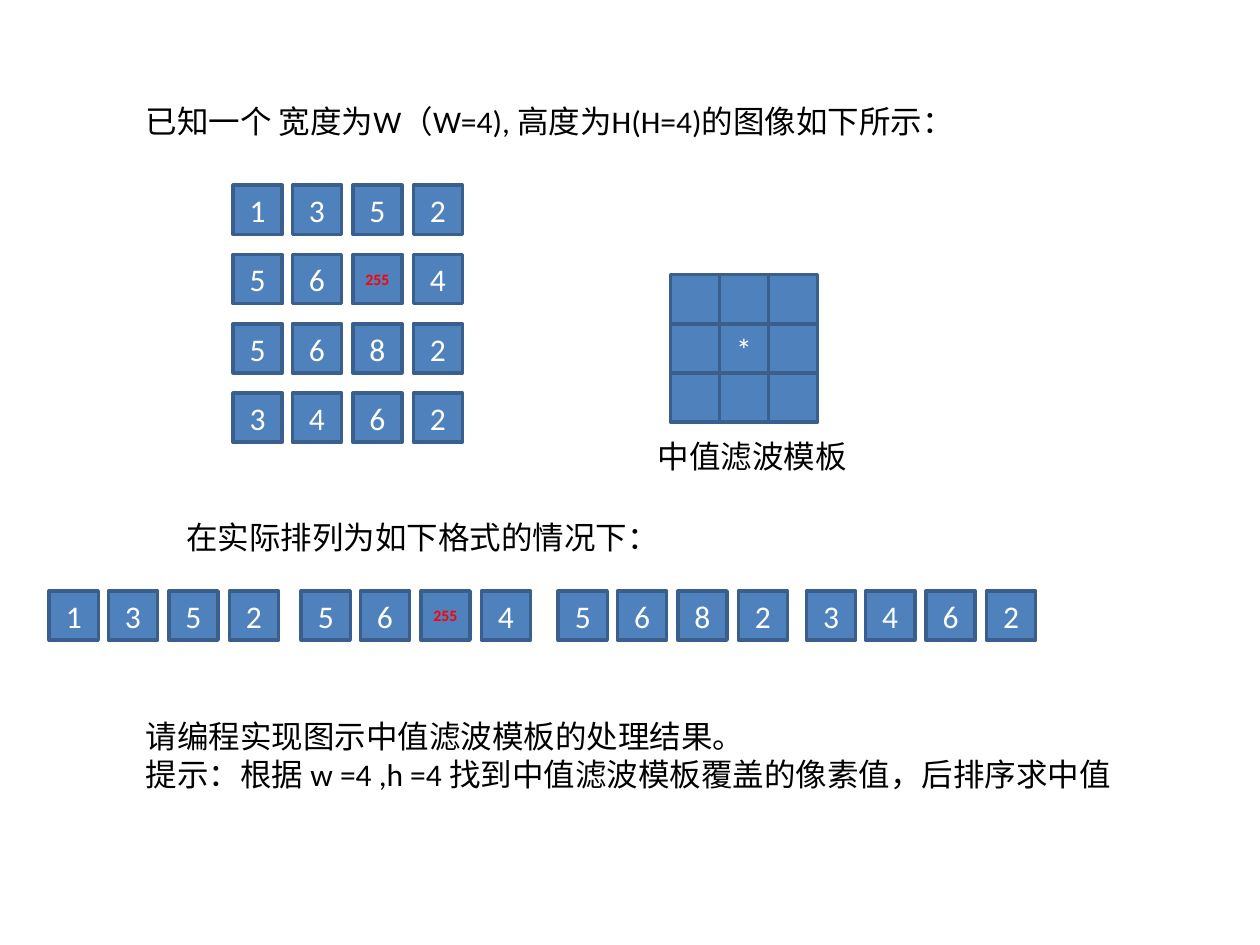
"""Build the median filter exercise slide."""
from pptx import Presentation
from pptx.dml.color import RGBColor
from pptx.enum.shapes import MSO_SHAPE
from pptx.enum.text import MSO_ANCHOR, PP_ALIGN
from pptx.util import Inches, Pt

RECT = MSO_SHAPE.RECTANGLE
MIDDLE = MSO_ANCHOR.MIDDLE
CENTER = PP_ALIGN.CENTER
BLUE = RGBColor(0x4F, 0x81, 0xBD)
EDGE = RGBColor(0x3A, 0x5F, 0x8C)
WHITE = RGBColor(0xFF, 0xFF, 0xFF)
BLACK = RGBColor(0, 0, 0)
RED = RGBColor(0xFF, 0, 0)
FONT = "Calibri"
NOISE = "255"

PIXELS = [
    ["1", "3", "5", "2"],
    ["5", "6", NOISE, "4"],
    ["5", "6", "8", "2"],
    ["3", "4", "6", "2"],
]
MASK = [
    ["", "", ""],
    ["", "*", ""],
    ["", "", ""],
]
TEXTS = [
    (1.06, 0.76, 6.68, 0.4, ["已知一个 宽度为W（W=4), 高度为H(H=4)的图像如下所示："]),
    (1.38, 4.06, 3.99, 0.4, ["在实际排列为如下格式的情况下："]),
    (5.12, 3.42, 1.72, 0.4, ["中值滤波模板"]),
    (1.06, 5.64, 7.94, 0.71, [
        "请编程实现图示中值滤波模板的处理结果。",
        "提示：根据 w =4 ,h =4 找到中值滤波模板覆盖的像素值，后排序求中值",
    ]),
]

CELL = 0.39
COLUMN_OFFSETS = [0, 0.47, 0.95, 1.43]
IMAGE_LEFT, IMAGE_TOP, IMAGE_ROW_STEP = 1.85, 1.47, 0.55
STRIP_LEFTS, STRIP_TOP = [0.39, 2.39, 4.43, 6.4], 4.69
MASK_LEFT, MASK_TOP = 5.32, 2.18


def set_font(p, size, color, bold=False):
    p.font.name = FONT
    p.font.size = Pt(size)
    p.font.color.rgb = color
    p.font.bold = bold


def add_cell(s, left, top, value):
    sp = s.shapes.add_shape(RECT, Inches(left), Inches(top), Inches(CELL), Inches(CELL))
    sp.shadow.inherit = False
    sp.fill.solid()
    sp.fill.fore_color.rgb = BLUE
    sp.line.color.rgb = EDGE
    sp.line.width = Pt(2)
    if value:
        tf = sp.text_frame
        tf.margin_left = tf.margin_right = 0
        tf.vertical_anchor = MIDDLE
        p = tf.paragraphs[0]
        p.text = value
        p.alignment = CENTER
        if value == NOISE:
            set_font(p, 9, RED, True)
        else:
            set_font(p, 18, WHITE)


def add_pixel_row(s, left, top, values):
    for offset, value in zip(COLUMN_OFFSETS, values):
        add_cell(s, left + offset, top, value)


def add_text(s, left, top, width, height, lines):
    sp = s.shapes.add_textbox(Inches(left), Inches(top), Inches(width), Inches(height))
    tf = sp.text_frame
    tf.word_wrap = True
    for i, line in enumerate(lines):
        p = tf.add_paragraph() if i else tf.paragraphs[0]
        p.text = line
        set_font(p, 18, BLACK)


def main():
    prs = Presentation()
    prs.slide_width, prs.slide_height = Inches(10), Inches(7.5)
    s = prs.slides.add_slide(prs.slide_layouts[6])
    for i, values in enumerate(PIXELS):
        add_pixel_row(s, IMAGE_LEFT, IMAGE_TOP + i * IMAGE_ROW_STEP, values)
    for left, values in zip(STRIP_LEFTS, PIXELS):
        add_pixel_row(s, left, STRIP_TOP, values)
    for i, values in enumerate(MASK):
        for j, value in enumerate(values):
            add_cell(s, MASK_LEFT + j * CELL, MASK_TOP + i * CELL, value)
    for text in TEXTS:
        add_text(s, *text)
    prs.save("out.pptx")


if __name__ == "__main__":
    main()
